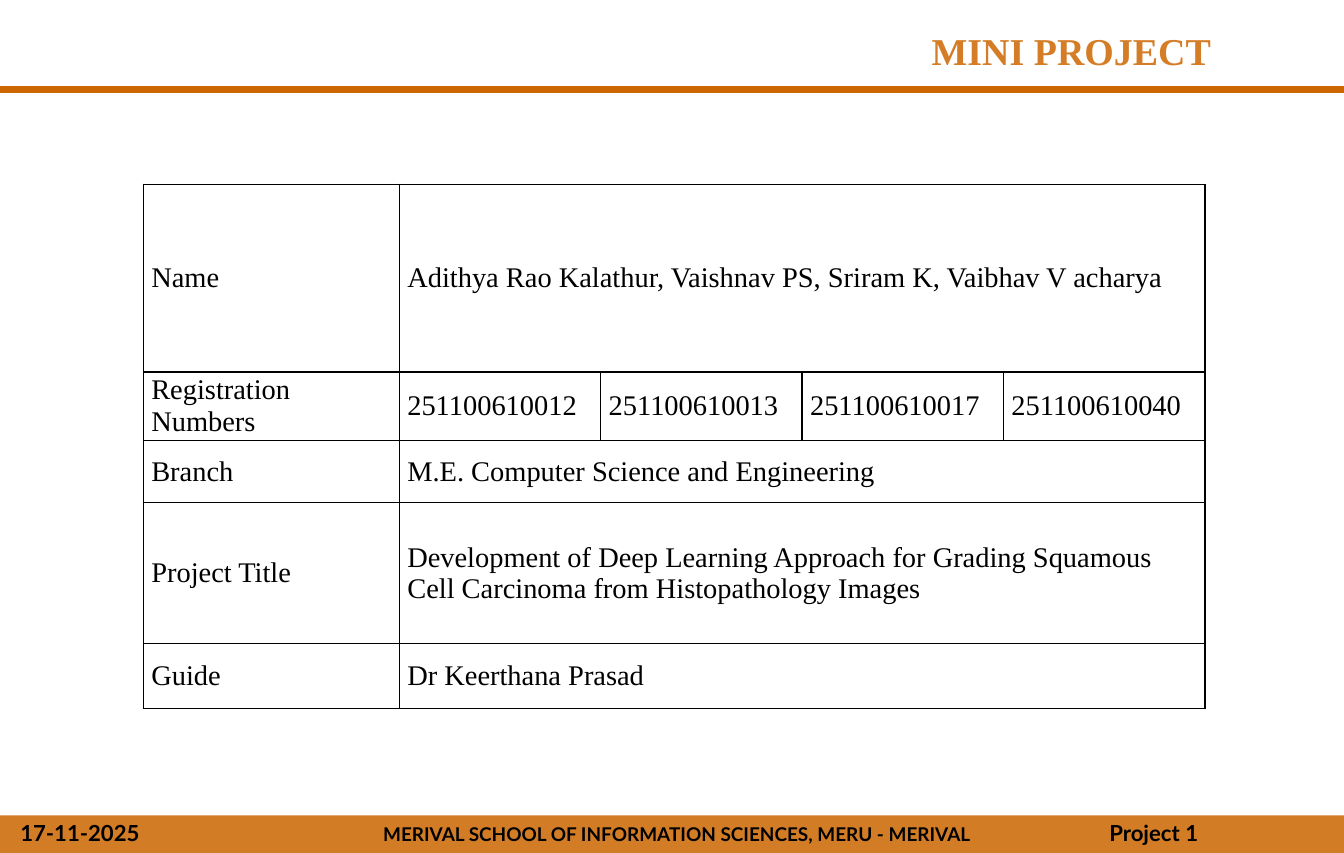
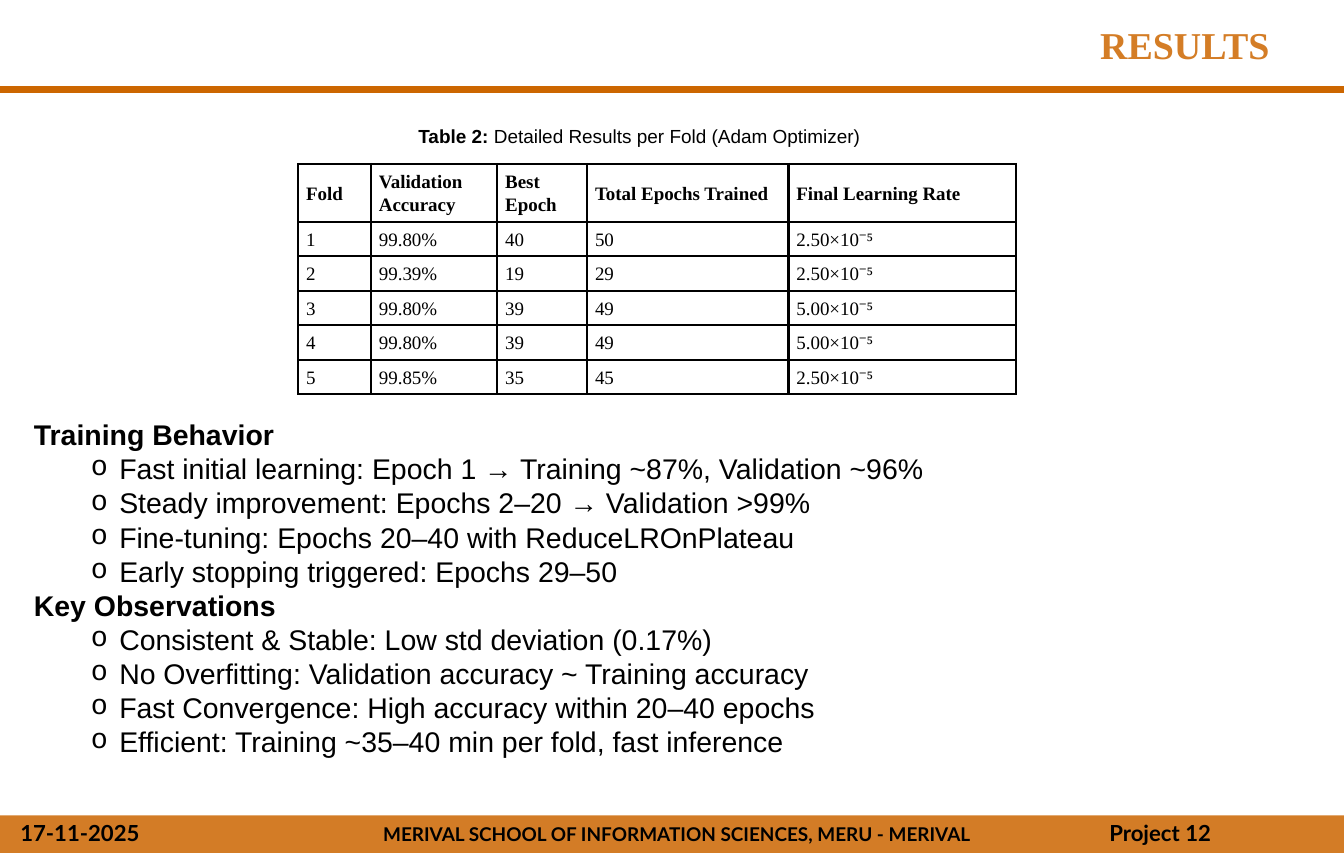
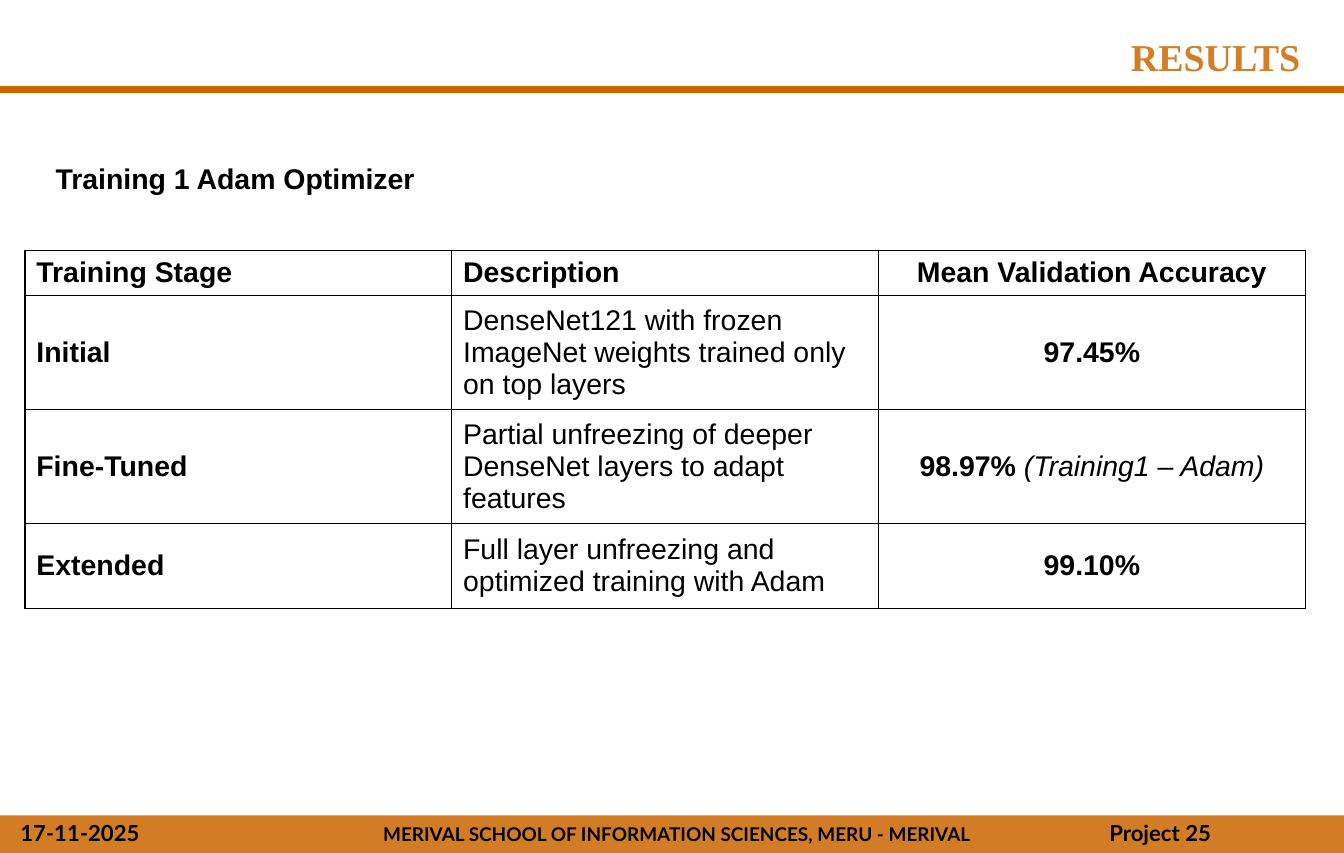
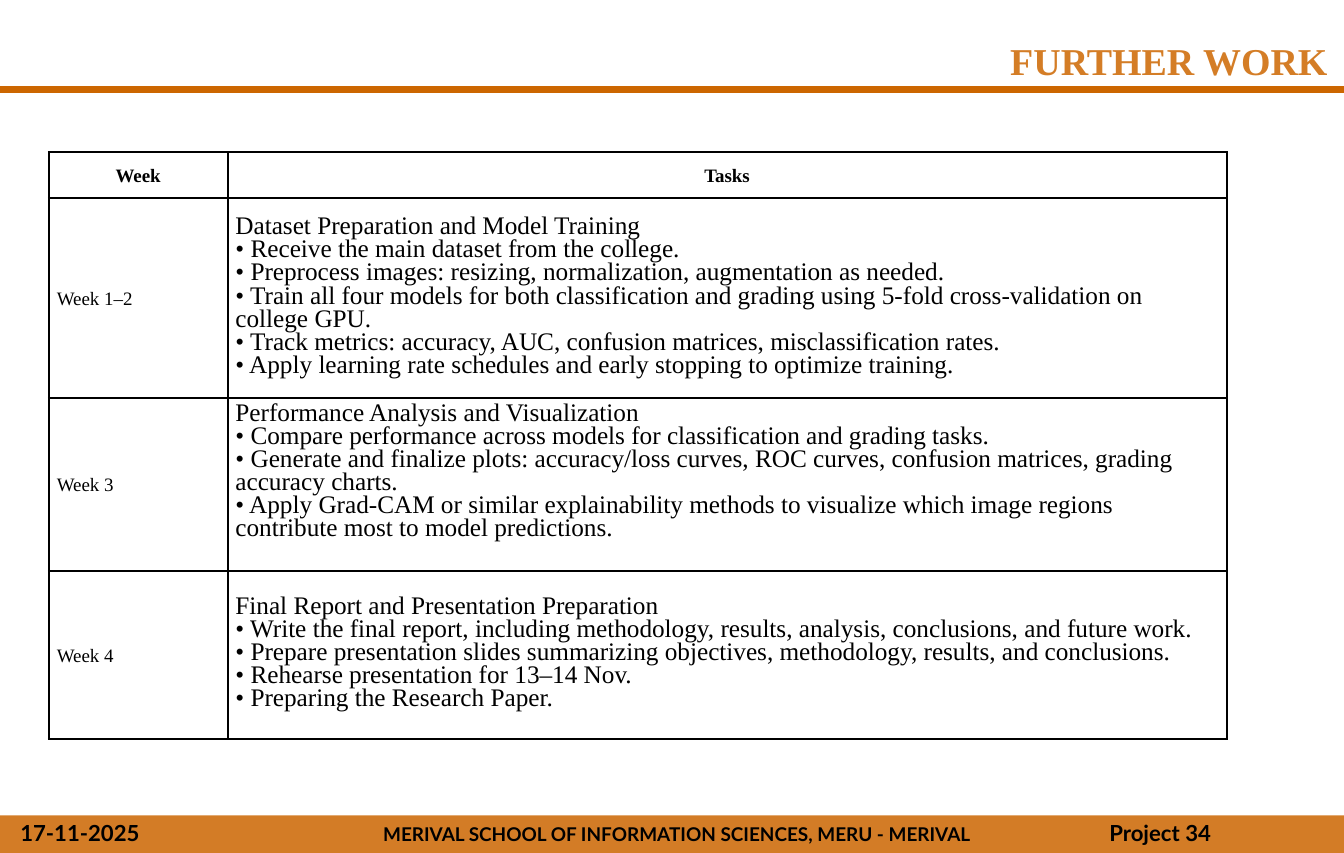
from lxml import etree
from pptx import Presentation
from pptx.dml.color import RGBColor
from pptx.enum.shapes import MSO_CONNECTOR, MSO_SHAPE
from pptx.enum.text import MSO_ANCHOR, PP_ALIGN
from pptx.oxml import parse_xml
from pptx.oxml.ns import nsdecls, qn
from pptx.util import Cm, Inches, Pt

LEFT, CENTER, RIGHT, JUSTIFY = PP_ALIGN.LEFT, PP_ALIGN.CENTER, PP_ALIGN.RIGHT, PP_ALIGN.JUSTIFY
MIDDLE = MSO_ANCHOR.MIDDLE
RECT = MSO_SHAPE.RECTANGLE
STRAIGHT = MSO_CONNECTOR.STRAIGHT

# The slide is exactly 30 cm wide
WIDTH, HEIGHT = Cm(30), Inches(7.5)
BLACK, BAND, TITLE = "000000", "CC6600", "D47D26"
SERIF, SANS, FOOTER = "Times New Roman", "Arial", "Lato"
DATE = "17-11-2025"
SCHOOL = "MERIVAL SCHOOL OF INFORMATION SCIENCES, MERU - MERIVAL"


def rgb(hex_color):
    return RGBColor.from_string(hex_color)


# Text

def write(tf, paragraphs, size, font, color=BLACK, bold=False, align=LEFT, spacing=None):
    """Each paragraph is a string or a list of (text, bold, italic) runs."""
    for i, content in enumerate(paragraphs):
        p = tf.paragraphs[0] if i == 0 else tf.add_paragraph()
        p.alignment = align
        if spacing:
            p.line_spacing = Pt(spacing)
        p.font.size, p.font.name = Pt(size), font
        p.font.color.rgb = rgb(color)
        if isinstance(content, str):
            p.font.bold = bold
            content = [(content, None, None)]
        for text, run_bold, run_italic in content:
            r = p.add_run()
            r.text = text
            # Runs carry the paragraph's font so that every renderer shows it
            r.font.size, r.font.name = Pt(size), font
            r.font.color.rgb = rgb(color)
            r.font.bold = bold if run_bold is None else run_bold
            r.font.italic = run_italic


def textbox(slide, box, paragraphs, size, font, **style):
    tf = slide.shapes.add_textbox(*map(Inches, box)).text_frame
    tf.word_wrap = True
    write(tf, paragraphs, size, font, **style)
    return tf


def set_bullet(p, char, margin, indent):
    pPr = p._p.get_or_add_pPr()
    pPr.set("marL", str(Inches(margin)))
    pPr.set("indent", str(Inches(indent)))
    # Bullet elements stand before the default run properties
    default = pPr.find(qn("a:defRPr"))
    at = len(pPr) if default is None else pPr.index(default)
    pPr.insert(at, parse_xml(f'<a:buFont {nsdecls("a")} typeface="Courier New"/>'))
    pPr.insert(at + 1, parse_xml(f'<a:buChar {nsdecls("a")} char="{char}"/>'))


# Tables

def set_borders(cell, width):
    tcPr = cell._tc.get_or_add_tcPr()
    for i, side in enumerate("LRTB"):
        tcPr.insert(i, parse_xml(
            f'<a:ln{side} {nsdecls("a")} w="{Pt(width)}"><a:solidFill>'
            f'<a:srgbClr val="{BLACK}"/></a:solidFill></a:ln{side}>'))


def add_grid(slide, left, top, cols, rows, border, margins):
    shape = slide.shapes.add_table(len(rows), len(cols), Inches(left), Inches(top),
                                   Inches(sum(cols)), Inches(sum(rows)))
    table = shape.table
    table.first_row = table.horz_banding = False
    for col, width in zip(table.columns, cols):
        col.width = Inches(width)
    for row, height in zip(table.rows, rows):
        row.height = Inches(height)
    for cell in table.iter_cells():
        cell.fill.background()
        cell.vertical_anchor = MIDDLE
        cell.margin_left = cell.margin_right = Inches(margins[0])
        cell.margin_top = cell.margin_bottom = Inches(margins[1])
        set_borders(cell, border)
    return table


# Shared frame: title, rule and footer band

def add_frame(prs, number, title, left, top, width, align=JUSTIFY):
    slide = prs.slides.add_slide(prs.slide_layouts[6])

    rule = slide.shapes.add_connector(STRAIGHT, 0, Inches(0.79), WIDTH, Inches(0.79))
    rule.line.color.rgb = rgb(BAND)
    rule.line.width = Pt(4.5)
    etree.SubElement(rule._element.spPr, qn("a:effectLst"))

    band = slide.shapes.add_shape(RECT, 0, Inches(7.17), WIDTH, Inches(0.33))
    band.shadow.inherit = False
    band.fill.solid()
    band.fill.fore_color.rgb = rgb(BAND)
    band.line.fill.background()
    color = band._element.spPr.find(qn("a:solidFill"))[0]
    etree.SubElement(color, qn("a:alpha")).set("val", "85000")

    textbox(slide, (2.85, 7.18, 6.2, 0.31), [SCHOOL], 12, FOOTER, bold=True, align=CENTER)
    textbox(slide, (0.08, 7.16, 1.33, 0.34), [DATE], 14, FOOTER, bold=True)
    textbox(slide, (9.65, 7.16, 2.15, 0.34), [f"Project {number}"], 14, FOOTER, bold=True)
    textbox(slide, (left, top, width, 0.51), [title], 24, SERIF,
            color=TITLE, bold=True, align=align)
    return slide


# Slide parts

def project_table(slide, left, top):
    rows = [
        ("Name", "Adithya Rao Kalathur, Vaishnav PS, Sriram K, Vaibhav V acharya"),
        ("Registration Numbers", "251100610012", "251100610013", "251100610017", "251100610040"),
        ("Branch", "M.E. Computer Science and Engineering"),
        ("Project Title", "Development of Deep Learning Approach for Grading Squamous "
                          "Cell Carcinoma from Histopathology Images"),
        ("Guide", "Dr Keerthana Prasad"),
    ]
    table = add_grid(slide, left, top, [2.25] + [1.77] * 4, [1.65, 0.6, 0.55, 1.24, 0.57],
                     1, (0.07, 0))
    for r, row in enumerate(rows):
        if len(row) == 2:
            table.cell(r, 1).merge(table.cell(r, 4))
        for c, text in enumerate(row):
            write(table.cell(r, c).text_frame, [text], 18, SERIF)


def fold_table(slide, left, top):
    rows = [
        ("Fold", "Validation Accuracy", "Best Epoch", "Total Epochs Trained",
         "Final Learning Rate"),
        ("1", "99.80%", "40", "50", "2.50×10⁻⁵"),
        ("2", "99.39%", "19", "29", "2.50×10⁻⁵"),
        ("3", "99.80%", "39", "49", "5.00×10⁻⁵"),
        ("4", "99.80%", "39", "49", "5.00×10⁻⁵"),
        ("5", "99.85%", "35", "45", "2.50×10⁻⁵"),
    ]
    textbox(slide, (left + 0.26, top - 0.39, 5.48, 0.31),
            [[("Table 2: ", True, None), ("Detailed Results per Fold (Adam Optimizer)", False, None)]],
            12, SANS, align=CENTER)
    table = add_grid(slide, left, top, [0.64, 1.11, 0.79, 1.77, 2], [0.51] + [0.3] * 5,
                     1.5, (0.07, 0.05))
    for r, row in enumerate(rows):
        for c, text in enumerate(row):
            write(table.cell(r, c).text_frame, [text], 12, SERIF,
                  bold=r == 0, align=JUSTIFY, spacing=14.6)


def findings(slide, box):
    sections = {
        "Training Behavior": [
            "Fast initial learning: Epoch 1 → Training ~87%, Validation ~96%",
            "Steady improvement: Epochs 2–20 → Validation >99%",
            "Fine-tuning: Epochs 20–40 with ReduceLROnPlateau",
            "Early stopping triggered: Epochs 29–50",
        ],
        "Key Observations": [
            "Consistent & Stable: Low std deviation (0.17%)",
            "No Overfitting: Validation accuracy ~ Training accuracy",
            "Fast Convergence: High accuracy within 20–40 epochs",
            "Efficient: Training ~35–40 min per fold, fast inference",
        ],
    }
    paragraphs = []
    for heading, points in sections.items():
        paragraphs += [[(heading, True, None)], *points]
    tf = textbox(slide, box, paragraphs, 18, SANS, spacing=21.6)
    for p, content in zip(tf.paragraphs, paragraphs):
        if isinstance(content, str):
            p.level = 1
            set_bullet(p, "o", 0.75, -0.25)


def stage_table(slide, left, top):
    rows = [
        ("Training Stage", "Description", "Mean Validation Accuracy"),
        ("Initial", "DenseNet121 with frozen ImageNet weights trained only on top layers",
         "97.45%"),
        ("Fine-Tuned", "Partial unfreezing of deeper DenseNet layers to adapt features",
         [("98.97% ", True, None), ("(Training1 – Adam)", False, True)]),
        ("Extended", "Full layer unfreezing and optimized training with Adam", "99.10%"),
    ]
    table = add_grid(slide, left, top, [3.75] * 3, [0.4, 1, 1, 0.75], 1, (0.1, 0.05))
    for r, row in enumerate(rows):
        for c, content in enumerate(row):
            write(table.cell(r, c).text_frame, [content], 18, SANS,
                  bold=r == 0 or c != 1, align=CENTER if c == 2 else LEFT)


def task_table(slide, left, top):
    weeks = [
        ("Week 1–2", [
            "Dataset Preparation and Model Training",
            "• Receive the main dataset from the college.",
            "• Preprocess images: resizing, normalization, augmentation as needed.",
            "• Train all four models for both classification and grading using "
            "5-fold cross-validation on college GPU.",
            "• Track metrics: accuracy, AUC, confusion matrices, misclassification rates.",
            "• Apply learning rate schedules and early stopping to optimize training.",
        ]),
        ("Week 3", [
            "Performance Analysis and Visualization",
            "• Compare performance across models for classification and grading tasks.",
            "• Generate and finalize plots: accuracy/loss curves, ROC curves, "
            "confusion matrices, grading accuracy charts.",
            "• Apply Grad-CAM or similar explainability methods to visualize which "
            "image regions contribute most to model predictions.",
        ]),
        ("Week 4", [
            "Final Report and Presentation Preparation",
            "• Write the final report, including methodology, results, analysis, "
            "conclusions, and future work.",
            "• Prepare presentation slides summarizing objectives, methodology, results, "
            "and conclusions.",
            "• Rehearse presentation for 13–14 Nov.",
            "• Preparing the Research Paper.",
        ]),
    ]
    table = add_grid(slide, left, top, [1.57, 8.78], [0.4, 1.76, 1.51, 1.48], 1.5, (0.07, 0.05))
    for c, heading in enumerate(("Week", "Tasks")):
        write(table.cell(0, c).text_frame, [heading], 12, SERIF,
              bold=True, align=CENTER, spacing=14.6)
    for r, (week, tasks) in enumerate(weeks, 1):
        write(table.cell(r, 0).text_frame, [week], 12, SERIF, spacing=14.6)
        write(table.cell(r, 1).text_frame, tasks, 16, SERIF, spacing=14.6)
    # The tasks of week 3 sit higher in their cell
    table.cell(2, 1).margin_bottom = Inches(0.25)


def main():
    prs = Presentation()
    prs.slide_width, prs.slide_height = WIDTH, HEIGHT

    slide = add_frame(prs, 1, "MINI PROJECT", 2.74, 0.19, 8, RIGHT)
    project_table(slide, 1.26, 1.62)

    slide = add_frame(prs, 12, "RESULTS", 9.57, 0.14, 2.13)
    findings(slide, (0.2, 3.62, 11.16, 3.16))
    fold_table(slide, 2.62, 1.44)

    slide = add_frame(prs, 25, "RESULTS", 9.84, 0.25, 2.25)
    textbox(slide, (0.39, 1.37, 9.93, 0.4), ["Training 1 Adam Optimizer"], 18, SANS, bold=True)
    stage_table(slide, 0.22, 2.2)

    slide = add_frame(prs, 34, "FURTHER WORK", 8.78, 0.28, 3.33)
    task_table(slide, 0.43, 1.34)

    prs.save("out.pptx")


if __name__ == "__main__":
    main()
